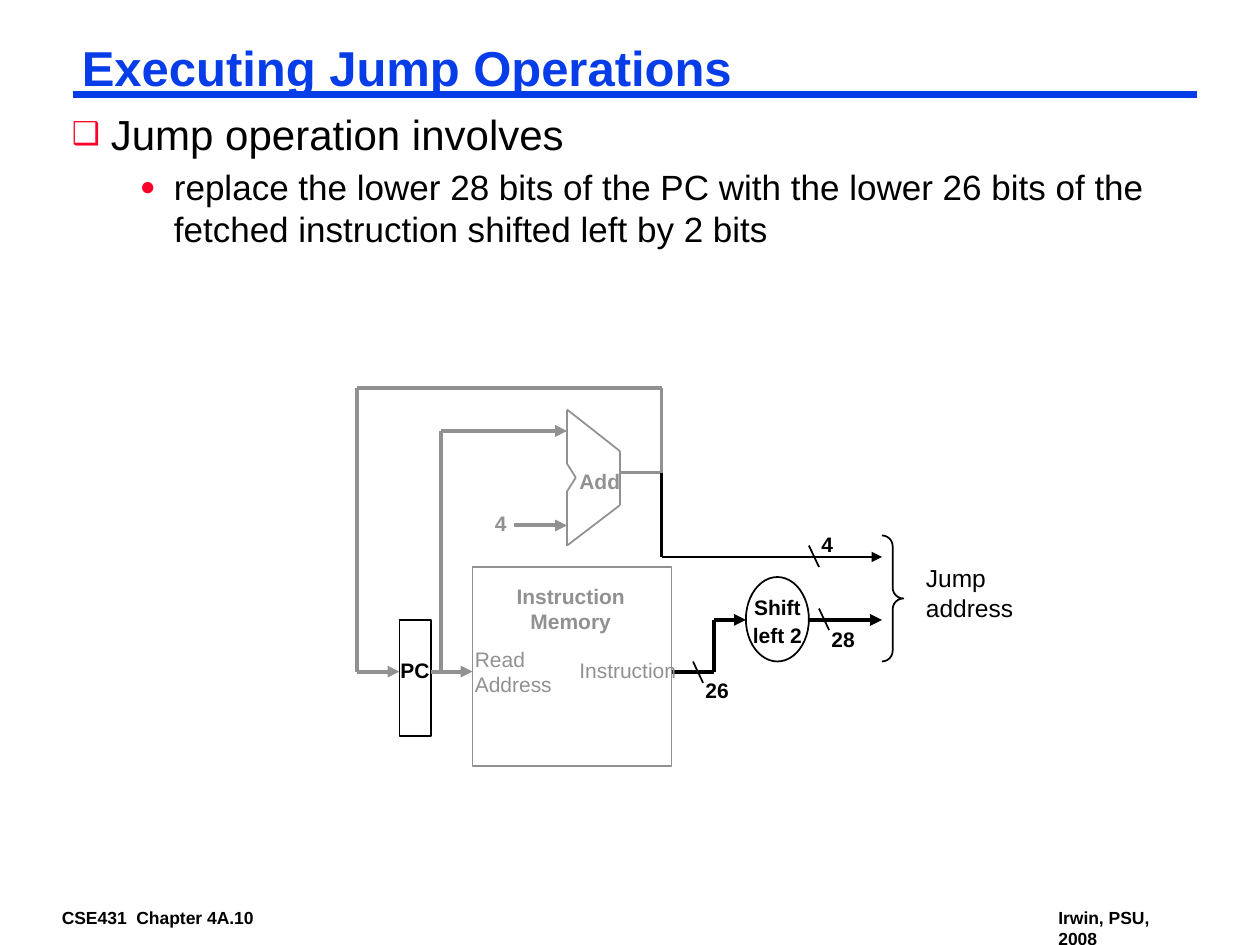
import itertools

import lxml.etree
import pptx
import pptx.dml.color
import pptx.enum.shapes
import pptx.enum.text
import pptx.oxml.ns
import pptx.util

Inches, Pt = pptx.util.Inches, pptx.util.Pt
SHAPE = pptx.enum.shapes.MSO_SHAPE
ALIGN = pptx.enum.text.PP_ALIGN
FONT = "Arial"
COLORS = {"blue": "063DE8", "red": "FC0128", "gray": "919191", "black": "000000"}
TEXT_INSETS = (0.07, 0.03)
LABEL_INSETS = (0.1, 0.05)

# Content
TITLE = "Executing Jump Operations"
# text, size, bullet, left margin, hanging indent
BULLETS = [
    ("Jump operation involves", 24, "❑", 0.31, 0.31),
    ("replace the lower 28 bits of the PC with the lower 26 bits of the "
     "fetched instruction shifted left by 2 bits", 20, "●", 0.81, 0.27),
]
# text, box, wraps
FOOTERS = [
    ("CSE431  Chapter 4A.10", (0.42, 7.17, 1.69, 0.22), False),
    ("Irwin, PSU, 2008", (8.33, 7.17, 1.2, 0.39), True),
]
ADDER = [(4.5, 3.25), (4.92, 3.58), (4.92, 4.01), (4.5, 4.33),
         (4.5, 3.9), (4.57, 3.79), (4.5, 3.68), (4.5, 3.25)]
# color, width, arrow at the end, corner points
WIRES = [
    ("gray", 1, False, ADDER),
    ("gray", 2.25, True, [(3.42, 5.33), (3.75, 5.33)]),               # PC to memory
    ("gray", 2.25, True, [(3.5, 5.33), (3.5, 3.42), (4.5, 3.42)]),    # PC to adder
    ("gray", 2.25, True, [(4.08, 4.17), (4.5, 4.17)]),                # 4 to adder
    ("gray", 2.25, True, [(4.92, 3.75), (5.25, 3.75), (5.25, 3.08),
                          (2.83, 3.08), (2.83, 5.33), (3.17, 5.33)]),  # adder to PC
    ("black", 1.5, True, [(5.25, 3.75), (5.25, 4.42), (7, 4.42)]),    # upper PC bits
    ("black", 2.25, True, [(5.33, 5.33), (5.67, 5.33),
                           (5.67, 4.92), (5.92, 4.92)]),              # memory to shifter
    ("black", 2.25, True, [(6.42, 4.92), (7, 4.92)]),                 # shifter output
]
BUS_MARKS = [(6.42, 4.33), (5.5, 5.25), (6.5, 4.83)]
# preset, box, color
BLOCKS = [
    (SHAPE.RECTANGLE, (3.75, 4.5, 1.58, 1.58), "gray"),
    (SHAPE.RECTANGLE, (3.17, 4.92, 0.25, 0.92), "black"),
    (SHAPE.OVAL, (5.92, 4.58, 0.5, 0.67), "black"),
    (SHAPE.RIGHT_BRACE, (7, 4.25, 0.17, 1), "black"),
]
# lines, box, size, bold, color, alignment
LABELS = [
    (["Read", "Address"], (3.67, 5.08, 0.81, 0.5), 12, False, "gray", ALIGN.LEFT),
    (["Instruction"], (4.5, 5.17, 0.97, 0.3), 12, False, "gray", ALIGN.LEFT),
    (["Instruction", "Memory"], (4, 4.58, 1.06, 0.5), 12, True, "gray", ALIGN.CENTER),
    (["Add"], (4.5, 3.67, 0.53, 0.3), 12, True, "gray", ALIGN.LEFT),
    (["PC"], (3.08, 5.17, 0.43, 0.3), 12, True, "black", ALIGN.LEFT),
    (["4"], (3.83, 4, 0.29, 0.3), 12, True, "gray", ALIGN.LEFT),
    (["Jump", "address"], (7.25, 4.42, 0.89, 0.57), 14, False, "black", ALIGN.LEFT),
    (["26"], (5.5, 5.33, 0.39, 0.3), 12, True, "black", ALIGN.LEFT),
    (["4"], (6.42, 4.17, 0.29, 0.3), 12, True, "black", ALIGN.LEFT),
    (["28"], (6.5, 4.92, 0.39, 0.3), 12, True, "black", ALIGN.LEFT),
]
SHIFTER_LABEL = (["Shift", "left 2"], (5.92, 4.67, 0.5, 0.5), 12, True, "black",
                 ALIGN.CENTER)


def rgb(color):
    return pptx.dml.color.RGBColor.from_string(COLORS[color])


def add_child(parent, tag, **attributes):
    return lxml.etree.SubElement(parent, pptx.oxml.ns.qn(tag), attributes)


def place(shape, box):
    shape.left, shape.top, shape.width, shape.height = map(Inches, box)


def prepare_frame(frame, insets, wrap):
    frame.margin_left = frame.margin_right = Inches(insets[0])
    frame.margin_top = frame.margin_bottom = Inches(insets[1])
    frame.auto_size = pptx.enum.text.MSO_AUTO_SIZE.NONE
    frame.vertical_anchor = pptx.enum.text.MSO_ANCHOR.TOP
    frame.word_wrap = wrap


def write(para, text, size, bold, color, align=ALIGN.LEFT):
    para.alignment = align
    span = para.add_run()
    span.text = text
    span.font.name, span.font.size, span.font.bold = FONT, Pt(size), bold
    span.font.color.rgb = rgb(color)


def paragraphs(frame, count):
    return [frame.paragraphs[0]] + [frame.add_paragraph() for _ in range(count - 1)]


def add_label(page, lines, box, size, bold, color, align,
              insets=LABEL_INSETS, wrap=False, spacing=None):
    frame = page.shapes.add_textbox(*map(Inches, box)).text_frame
    prepare_frame(frame, insets, wrap)
    for para, line in zip(paragraphs(frame, len(lines)), lines):
        write(para, line, size, bold, color, align)
        para.line_spacing = spacing


def add_line(page, start, end, color, width, arrow=False):
    line = page.shapes.add_connector(
        pptx.enum.shapes.MSO_CONNECTOR.STRAIGHT, *map(Inches, start + end))
    line.line.color.rgb = rgb(color)
    line.line.width = Pt(width)
    if arrow:
        add_child(line.line._get_or_add_ln(), "a:tailEnd", type="triangle")
    add_child(line._element.spPr, "a:effectLst")


def add_block(page, preset, box, color):
    block = page.shapes.add_shape(preset, *map(Inches, box))
    block.shadow.inherit = False
    block.fill.background()
    block.line.color.rgb = rgb(color)
    block.line.width = Pt(1)
    if preset == SHAPE.RIGHT_BRACE:
        block.adjustments[0] = block.adjustments[1] = 0.5


def add_bullet(para, mark, margin, hanging):
    props = para._p.get_or_add_pPr()
    props.set("marL", str(Inches(margin)))
    props.set("indent", str(-Inches(hanging)))
    add_child(add_child(props, "a:buClr"), "a:srgbClr", val=COLORS["red"])
    add_child(props, "a:buSzPct", val="75000")
    add_child(props, "a:buFont", typeface=FONT)
    add_child(props, "a:buChar", char=mark)


def main():
    deck = pptx.Presentation()
    deck.slide_width, deck.slide_height = Inches(10), Inches(7.5)
    page = deck.slides.add_slide(deck.slide_layouts[1])

    # Title with its rule
    title = page.shapes.title
    place(title, (0.58, 0.33, 8.92, 0.46))
    prepare_frame(title.text_frame, TEXT_INSETS, True)
    heading = title.text_frame.paragraphs[0]
    write(heading, TITLE, 28, True, "blue")
    heading.line_spacing = 0.87
    add_line(page, (0.58, 0.75), (9.5, 0.75), "blue", 4.5)

    # Bulleted list
    body = page.placeholders[1]
    place(body, (0.5, 0.83, 8.92, 1.19))
    prepare_frame(body.text_frame, TEXT_INSETS, True)
    rows = zip(paragraphs(body.text_frame, len(BULLETS)), BULLETS)
    for level, (para, (text, size, mark, margin, hanging)) in enumerate(rows):
        para.level = level
        para.space_before = Pt(size * 0.2)
        write(para, text, size, False, "black")
        add_bullet(para, mark, margin, hanging)

    # Datapath
    for block in BLOCKS:
        add_block(page, *block)
    for color, width, arrow, points in WIRES:
        for start, end in itertools.pairwise(points):
            add_line(page, start, end, color, width, arrow and end == points[-1])
    for x, y in BUS_MARKS:
        add_line(page, (x, y), (x + 0.08, y + 0.17), "black", 1)
    for label in LABELS:
        add_label(page, *label)
    add_label(page, *SHIFTER_LABEL, insets=(0.02, 0.03), spacing=Pt(16))

    # Footer
    for text, box, wrap in FOOTERS:
        add_label(page, [text], box, 10, True, "black", ALIGN.LEFT, TEXT_INSETS, wrap)

    deck.save("out.pptx")


if __name__ == "__main__":
    main()
